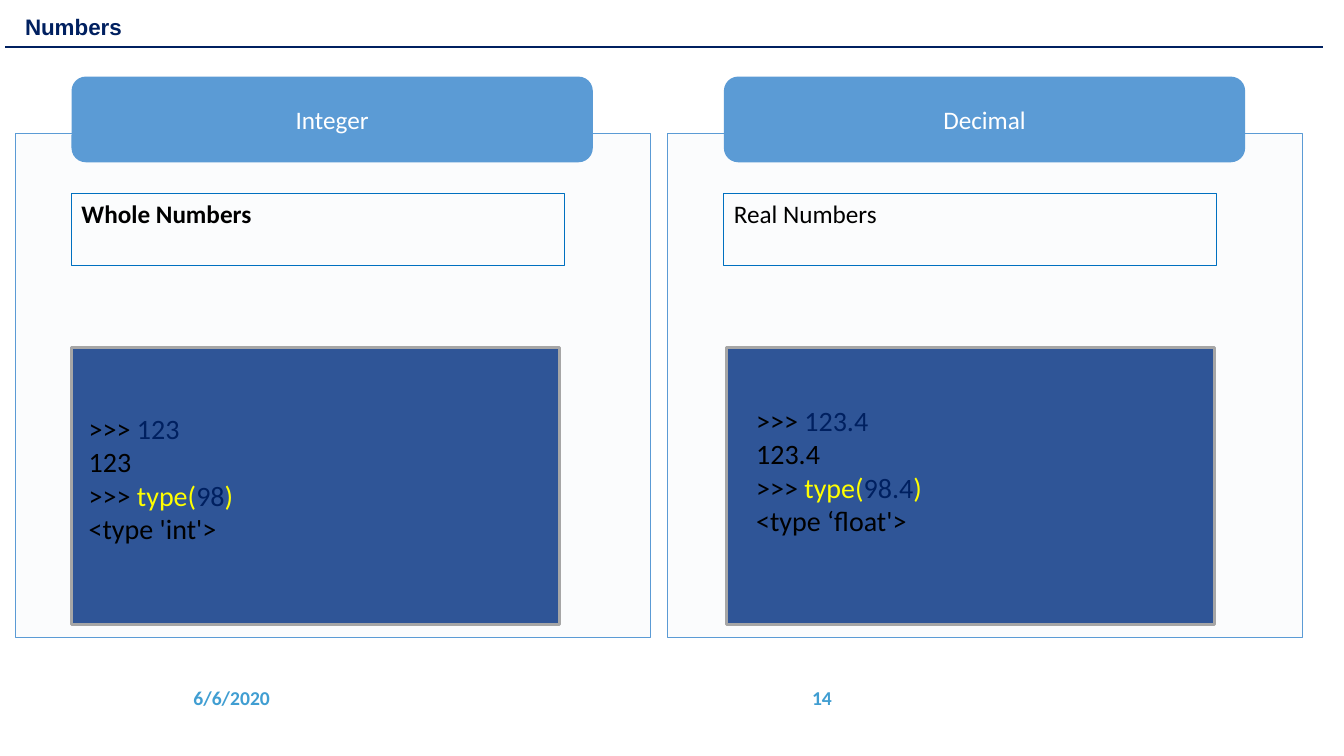
"""Builds a slide comparing integer and decimal numbers in Python."""
from lxml import etree
from pptx import Presentation
from pptx.dml.color import RGBColor
from pptx.enum.shapes import MSO_CONNECTOR, MSO_SHAPE
from pptx.enum.text import MSO_ANCHOR, PP_ALIGN
from pptx.oxml.ns import qn
from pptx.util import Inches, Pt

RECT, ROUNDED = MSO_SHAPE.RECTANGLE, MSO_SHAPE.ROUNDED_RECTANGLE
STRAIGHT = MSO_CONNECTOR.STRAIGHT
TOP, MIDDLE, BOTTOM = MSO_ANCHOR.TOP, MSO_ANCHOR.MIDDLE, MSO_ANCHOR.BOTTOM
LEFT, CENTER, RIGHT = PP_ALIGN.LEFT, PP_ALIGN.CENTER, PP_ALIGN.RIGHT

WHITE = RGBColor(0xFF, 0xFF, 0xFF)
BLACK = RGBColor(0, 0, 0)
NAVY = RGBColor(0x00, 0x20, 0x60)
YELLOW = RGBColor(0xFF, 0xFF, 0x00)
SKY = RGBColor(0x5B, 0x9B, 0xD5)
PALE = RGBColor(0xEA, 0xEF, 0xF7)
BLUE = RGBColor(0x00, 0x70, 0xC0)
CODE_BLUE = RGBColor(0x2F, 0x55, 0x97)
GREY = RGBColor(0xA6, 0xA6, 0xA6)
FOOTER_BLUE = RGBColor(0x40, 0x9E, 0xD2)

prs = Presentation()
prs.slide_width, prs.slide_height = Inches(13.33), Inches(7.5)
slide = prs.slides.add_slide(prs.slide_layouts[6])


def add_box(kind, x, y, w, h, fill=None, line=None, weight=0.75):
    box = slide.shapes.add_shape(kind, Inches(x), Inches(y), Inches(w), Inches(h))
    box.shadow.inherit = False
    if fill is None:
        box.fill.background()
    else:
        box.fill.solid()
        box.fill.fore_color.rgb = fill
    if line is None:
        box.line.fill.background()
    else:
        box.line.color.rgb = line
        box.line.width = Pt(weight)
    return box


def write(box, text, size, color, bold=False, align=LEFT, anchor=TOP, font="Calibri"):
    frame = box.text_frame
    frame.word_wrap = True
    frame.vertical_anchor = anchor
    paragraph = frame.paragraphs[0]
    paragraph.text = text
    paragraph.alignment = align
    paragraph.font.name = font
    paragraph.font.size = Pt(size)
    paragraph.font.bold = bold
    paragraph.font.color.rgb = color
    return paragraph


for x, width, text, align in ((1.82, 1.38, "6/6/2020", LEFT), (5.32, 3.03, "14", RIGHT)):
    footer = slide.shapes.add_textbox(Inches(x), Inches(6.72), Inches(width), Inches(0.4))
    write(footer, text, 14, FOOTER_BLUE, True, align, MIDDLE)

title = add_box(RECT, 0.15, 0.1, 9.04, 0.35, WHITE)
write(title, "Numbers", 16, NAVY, True, anchor=BOTTOM, font="Arial").line_spacing = 0.9

title_rule = slide.shapes.add_connector(
    STRAIGHT, Inches(0.05), Inches(0.47), Inches(13.12), Inches(0.47))
title_rule.line.color.rgb = NAVY
title_rule.line.width = Pt(1.5)
etree.SubElement(title_rule._element.spPr, qn("a:effectLst"))

columns = (
    (0.15, "Integer", "Whole Numbers", True, "123", "98", "<type 'int'>", 0.71, 0.88, 4.07),
    (6.62, "Decimal", "Real Numbers", False, "123.4", "98.4", "<type ‘float'>", 7.21, 7.5, 3.99),
)
for x, heading, meaning, bold, value, argument, answer, console_x, code_x, code_y in columns:
    panel = add_box(RECT, x, 1.32, 6.3, 5, PALE, SKY, 0.25)
    pale_color = panel._element.spPr.find(qn("a:solidFill"))[0]
    etree.SubElement(pale_color, qn("a:alpha"), val="18000")

    header = add_box(ROUNDED, x + 0.56, 0.76, 5.17, 0.85, SKY)
    write(header, heading, 18, WHITE, align=CENTER, anchor=MIDDLE)

    definition = add_box(RECT, x + 0.56, 1.92, 4.89, 0.71, line=BLUE)
    write(definition, meaning, 18, BLACK, bold)

    add_box(RECT, console_x, 3.45, 4.84, 2.75, CODE_BLUE, GREY, 2.25)

    code = slide.shapes.add_textbox(
        Inches(code_x), Inches(code_y), Inches(3.8), Inches(1.35)).text_frame
    code.word_wrap = True
    code.vertical_anchor = MIDDLE
    code.margin_left = code.margin_right = code.margin_top = code.margin_bottom = 0
    code_lines = (
        ((">>> ", BLACK), (value, NAVY)),
        ((value, BLACK),),
        ((">>> ", BLACK), ("type(", YELLOW), (argument, NAVY), (")", YELLOW)),
        ((answer, BLACK),),
    )
    for index, tokens in enumerate(code_lines):
        paragraph = code.add_paragraph() if index else code.paragraphs[0]
        paragraph.font.name = "Calibri"
        paragraph.font.size = Pt(20)
        for token, color in tokens:
            run = paragraph.add_run()
            run.text = token
            run.font.color.rgb = color

prs.save("out.pptx")
